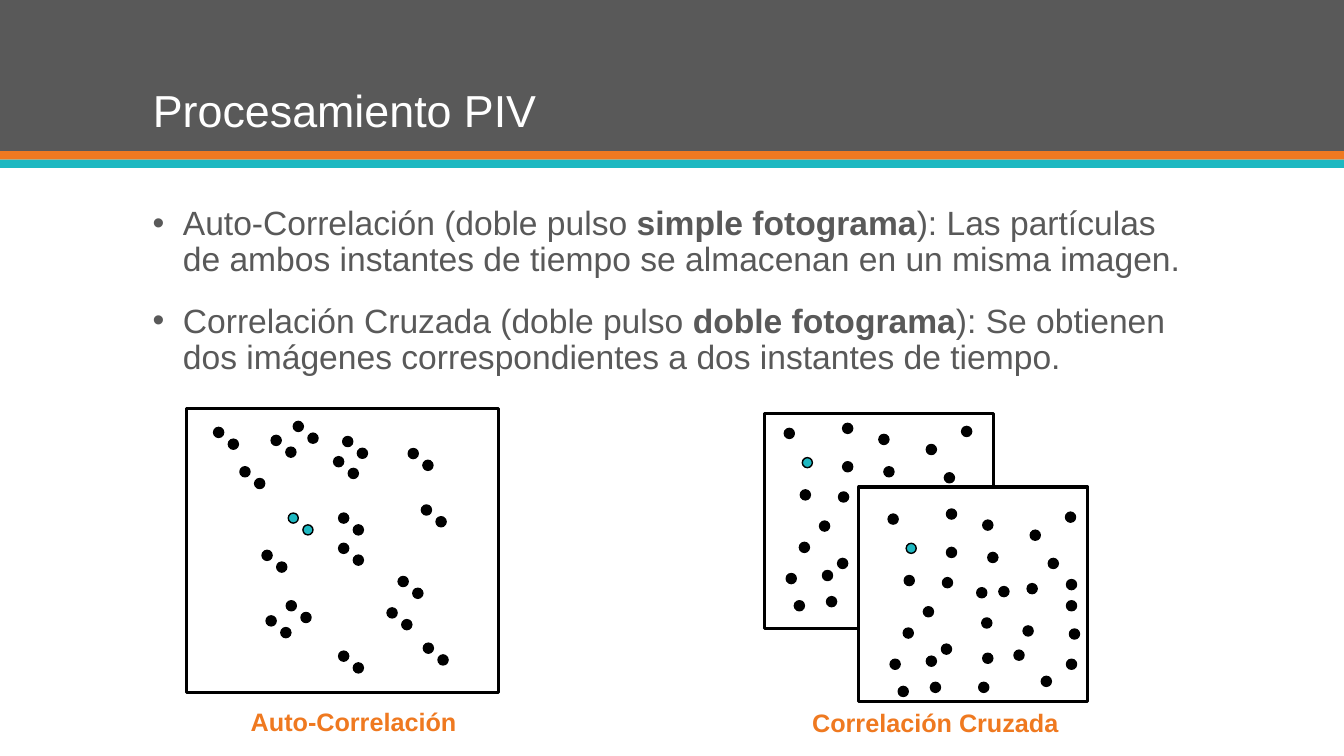
import pptx
import pptx.dml.color
import pptx.enum.shapes
import pptx.enum.text
import pptx.util
from lxml import etree

Pt = pptx.util.Pt
RGBColor = pptx.dml.color.RGBColor
MSO_SHAPE = pptx.enum.shapes.MSO_SHAPE

GRAY = RGBColor(0x59, 0x59, 0x59)
ORANGE = RGBColor(0xEF, 0x79, 0x20)
TEAL = RGBColor(0x1E, 0xB8, 0xC1)
BLACK = RGBColor(0, 0, 0)
WHITE = RGBColor(0xFF, 0xFF, 0xFF)

DOT = 7.2
PULSE_SHIFT = (10.5, 8.4)
FRAME_SHIFT = (74.2, 61.2)

presentation = pptx.Presentation()
presentation.slide_width = Pt(960)
presentation.slide_height = Pt(540)
slide = presentation.slides.add_slide(presentation.slide_layouts[5])


def add_figure(kind, left, top, width, height, fill, line_width=0):
    figure = slide.shapes.add_shape(kind, Pt(left), Pt(top), Pt(width), Pt(height))
    figure.shadow.inherit = False
    figure.fill.solid()
    figure.fill.fore_color.rgb = fill
    if line_width:
        figure.line.color.rgb = BLACK
        figure.line.width = Pt(line_width)
    else:
        figure.line.fill.background()


def add_particles(positions, tracer, shift=(0, 0)):
    for position in positions:
        add_figure(MSO_SHAPE.OVAL, position[0] + shift[0], position[1] + shift[1],
                   DOT, DOT, TEAL if position == tracer else BLACK, 1)


for top, height, color in ((0, 108, GRAY), (108, 6, ORANGE), (114, 6, TEAL)):
    add_figure(MSO_SHAPE.RECTANGLE, 0, top, 960, height, color)

title = slide.shapes.title
slide.shapes._spTree.append(title._element)
title.left, title.top, title.width, title.height = Pt(102), Pt(20), Pt(756), Pt(81.5)
title.text_frame.text = "Procesamiento PIV"
title.text_frame.vertical_anchor = pptx.enum.text.MSO_ANCHOR.BOTTOM
heading = title.text_frame.paragraphs[0]
heading.alignment = pptx.enum.text.PP_ALIGN.LEFT
heading.line_spacing = 0.9
heading.font.size = Pt(32)
heading.font.name = "Arial"
heading.font.color.rgb = WHITE

methods = (
    ("Auto-Correlación (doble pulso ", "simple fotograma",
     "): Las partículas de ambos instantes de tiempo se almacenan en un misma imagen."),
    ("Correlación Cruzada (doble pulso ", "doble fotograma",
     "): Se obtienen dos imágenes correspondientes a dos instantes de tiempo."),
)
explanation = slide.shapes.add_textbox(Pt(102), Pt(144), Pt(756), Pt(130)).text_frame
explanation.word_wrap = True
for index, parts in enumerate(methods):
    method = explanation.add_paragraph() if index else explanation.paragraphs[0]
    method.line_spacing = 0.9
    if index:
        method.space_before = Pt(18)
    properties = method._p.get_or_add_pPr()
    properties.set("marL", str(Pt(21.6)))
    properties.set("indent", str(-Pt(21.6)))
    bullet_font = etree.SubElement(properties, pptx.oxml.ns.qn("a:buFont"))
    bullet_font.set("typeface", "Arial")
    etree.SubElement(properties, pptx.oxml.ns.qn("a:buChar")).set("char", "•")
    for part_index, part in enumerate(parts):
        phrase = method.add_run()
        phrase.text = part
        phrase.font.size = Pt(24)
        phrase.font.name = "Arial"
        phrase.font.color.rgb = GRAY
        phrase.font.bold = part_index == 1

auto_tracer = (205.9, 366.5)
auto_particles = (
    (152.6, 305.3), (171.4, 333.4), (193.7, 311), (209.5, 301), (244.8, 311.8),
    (238.3, 326.2), auto_tracer, (241.9, 366.5), (187.2, 393.1), (241.9, 388.1),
    (284.4, 411.8), (276.5, 434.2), (204.5, 429.1), (190.1, 439.9), (291.6, 320.4),
    (301, 360.7), (241.9, 465.1), (302.4, 459.4),
)
add_figure(MSO_SHAPE.RECTANGLE, 133.2, 291.6, 223.2, 203, WHITE, 2.25)
for shift in ((0, 0), PULSE_SHIFT):
    add_particles(auto_particles, auto_tracer, shift)

cross_tracer = (573.1, 326.9)
cross_particles = (
    (560.2, 306), cross_tracer, (686.9, 304.6), (601.9, 302.4), (627.8, 310.3),
    (631.4, 333.4), (599, 351.4), (585.4, 372.2), (598.3, 398.9), (587.5, 407.5),
    (661.7, 317.5), (674.6, 337.7), (571, 387.4), (561.6, 409.7), (590.4, 426.2),
    (567.4, 429.1), (571.7, 349.9), (601.9, 329.8),
)
front_only_particles = (
    (713.5, 419), (701.3, 441.4), (730.8, 447.1), (724.3, 464.4), (699.1, 487.4),
    (743.8, 483.1), (761.8, 414), (763.9, 449.3), (761.8, 429.1), (761.8, 470.9),
    (702, 466.6), (733.7, 416.9), (697.7, 419.8),
)
for left, top, shift in ((545.8, 295.6, (0, 0)), (613.4, 347.9, FRAME_SHIFT)):
    add_figure(MSO_SHAPE.RECTANGLE, left, top, 163.6, 153.4, WHITE, 2.25)
    add_particles(cross_particles, cross_tracer, shift)
add_particles(front_only_particles, cross_tracer)

for caption, left, top, width in (
    ("Auto-Correlación", 172, 501, 165),
    ("Correlación Cruzada", 573, 502, 201),
):
    caption_frame = slide.shapes.add_textbox(Pt(left), Pt(top), Pt(width), Pt(29)).text_frame
    caption_frame.word_wrap = True
    caption_frame.text = caption
    caption_font = caption_frame.paragraphs[0].runs[0].font
    caption_font.size = Pt(18)
    caption_font.name = "Arial"
    caption_font.bold = True
    caption_font.color.rgb = ORANGE

presentation.save("out.pptx")
